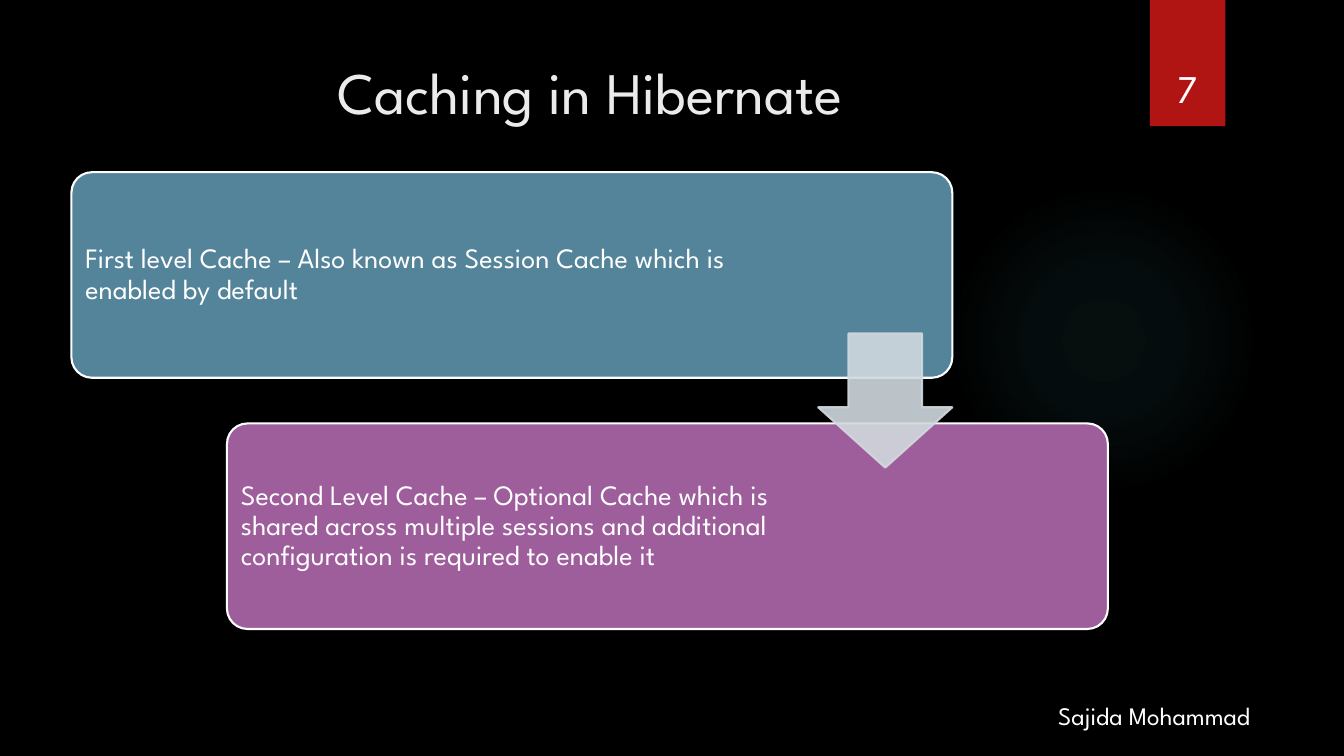
from dataclasses import dataclass

import lxml.etree
import pptx
import pptx.dml.color
import pptx.enum.shapes
import pptx.enum.text
import pptx.oxml
import pptx.oxml.ns
import pptx.util

Cm = pptx.util.Cm
Pt = pptx.util.Pt
Shape = pptx.enum.shapes.MSO_SHAPE
Anchor = pptx.enum.text.MSO_ANCHOR
Align = pptx.enum.text.PP_ALIGN
qn = pptx.oxml.ns.qn

FONT = "League Spartan"
WHITE = "FFFFFF"
CARD_WIDTH, CARD_HEIGHT = 22.2, 5.18
CARD_LEFT, CARD_TOP = 1.8, 4.34
STEP_X, STEP_Y = 3.92, 6.33
CARD_PADDING = 0.15
ARROW_SIZE = 3.38


@dataclass(frozen=True)
class Box:
    """Left, top, width and height in centimetres."""
    left: float
    top: float
    width: float
    height: float

    def lengths(self) -> tuple:
        return Cm(self.left), Cm(self.top), Cm(self.width), Cm(self.height)


@dataclass(frozen=True)
class CacheLevel:
    text: str
    fill: str
    text_width: float


@dataclass(frozen=True)
class Label:
    text: str
    box: Box
    size: float
    color: str = WHITE
    align: Align = Align.LEFT
    anchor: Anchor = Anchor.TOP


CACHE_LEVELS = [
    CacheLevel("First level Cache – Also known as Session Cache which is "
               "enabled by default", "54849A", 16.84),
    CacheLevel("Second Level Cache – Optional Cache which is shared across "
               "multiple sessions and additional configuration is required "
               "to enable it", "9E5E9B", 14.6),
]

LABELS = [
    Label("Caching in Hibernate", Box(1.8, 1.27, 26.14, 3.89), 42, "EBEBEB",
          Align.CENTER),
    Label(" Sajida Mohammad", Box(26.26, 17.53, 6.88, 1.5), 18),
    Label("7", Box(28.75, 0.81, 2.34, 2.13), 28, WHITE, Align.CENTER,
          Anchor.BOTTOM),
]


def rgb(color: str) -> pptx.dml.color.RGBColor:
    return pptx.dml.color.RGBColor.from_string(color)


def add_filled_shape(slide, kind: Shape, box: Box, fill: str,
                     line: str | None = None):
    shape = slide.shapes.add_shape(kind, *box.lengths())
    shape.shadow.inherit = False
    shape.fill.solid()
    shape.fill.fore_color.rgb = rgb(fill)
    if line:
        shape.line.color.rgb = rgb(line)
        shape.line.width = Pt(1.5)
    else:
        shape.line.fill.background()
    return shape


def add_label(slide, label: Label):
    shape = slide.shapes.add_textbox(*label.box.lengths())
    frame = shape.text_frame
    frame.word_wrap = True
    frame.vertical_anchor = label.anchor
    frame.text = label.text
    paragraph = frame.paragraphs[0]
    paragraph.alignment = label.align
    font = paragraph.runs[0].font
    font.name = FONT
    font.size = Pt(label.size)
    font.color.rgb = rgb(label.color)
    return shape


def add_glow(slide) -> None:
    """Faint round light that fades out towards its rim."""
    glow = add_filled_shape(slide, Shape.OVAL, Box(23.9, 4.65, 7.82, 7.82),
                            "50B9C1")
    stops = "".join(
        f'<a:gs pos="{position}000"><a:srgbClr val="50B9C1">'
        f'<a:alpha val="{alpha}000"/></a:srgbClr></a:gs>'
        for position, alpha in [(0, 7), (36, 6), (69, 0)])
    gradient = pptx.oxml.parse_xml(
        f'<a:gradFill {pptx.oxml.ns.nsdecls("a")}><a:gsLst>{stops}</a:gsLst>'
        '<a:path path="circle"><a:fillToRect l="50000" t="50000" '
        'r="50000" b="50000"/></a:path></a:gradFill>')
    properties = glow.element.spPr
    properties.replace(properties.find(qn("a:solidFill")), gradient)


def add_cache_level(slide, level: CacheLevel, index: int) -> None:
    left = CARD_LEFT + index * STEP_X
    top = CARD_TOP + index * STEP_Y
    card = add_filled_shape(slide, Shape.ROUNDED_RECTANGLE,
                            Box(left, top, CARD_WIDTH, CARD_HEIGHT),
                            level.fill, WHITE)
    card.adjustments[0] = 0.1
    text_box = Box(left + CARD_PADDING, top + CARD_PADDING, level.text_width,
                   CARD_HEIGHT - 2 * CARD_PADDING)
    frame = add_label(slide, Label(level.text, text_box, 20,
                                   anchor=Anchor.MIDDLE)).text_frame
    frame.margin_left = frame.margin_right = Cm(0.2)
    frame.margin_top = frame.margin_bottom = Cm(0.2)
    paragraph = frame.paragraphs[0]
    paragraph.line_spacing = 0.9
    paragraph.space_after = Pt(7)


def add_step_arrow(slide) -> None:
    """Translucent arrow, flush with the first card's right edge."""
    gap_middle = CARD_TOP + (CARD_HEIGHT + STEP_Y) / 2
    box = Box(CARD_LEFT + CARD_WIDTH - ARROW_SIZE,
              gap_middle - ARROW_SIZE / 2, ARROW_SIZE, ARROW_SIZE)
    arrow = add_filled_shape(slide, Shape.DOWN_ARROW, box, "D1D9DE", "D1D9DE")
    arrow.adjustments[0] = 0.55
    arrow.adjustments[1] = 0.45
    for color in arrow.element.spPr.iter(qn("a:srgbClr")):
        lxml.etree.SubElement(color, qn("a:alpha")).set("val", "90000")


def main() -> None:
    presentation = pptx.Presentation()
    presentation.slide_width = Cm(33.87)
    presentation.slide_height = Cm(19.05)
    slide = presentation.slides.add_slide(presentation.slide_layouts[6])
    slide.background.fill.solid()
    slide.background.fill.fore_color.rgb = rgb("000000")

    add_glow(slide)
    add_filled_shape(slide, Shape.RECTANGLE, Box(28.98, 0, 1.9, 3.18),
                     "B01513")
    for index, level in enumerate(CACHE_LEVELS):
        add_cache_level(slide, level, index)
    add_step_arrow(slide)
    for label in LABELS:
        add_label(slide, label)
    presentation.save("out.pptx")


if __name__ == "__main__":
    main()
